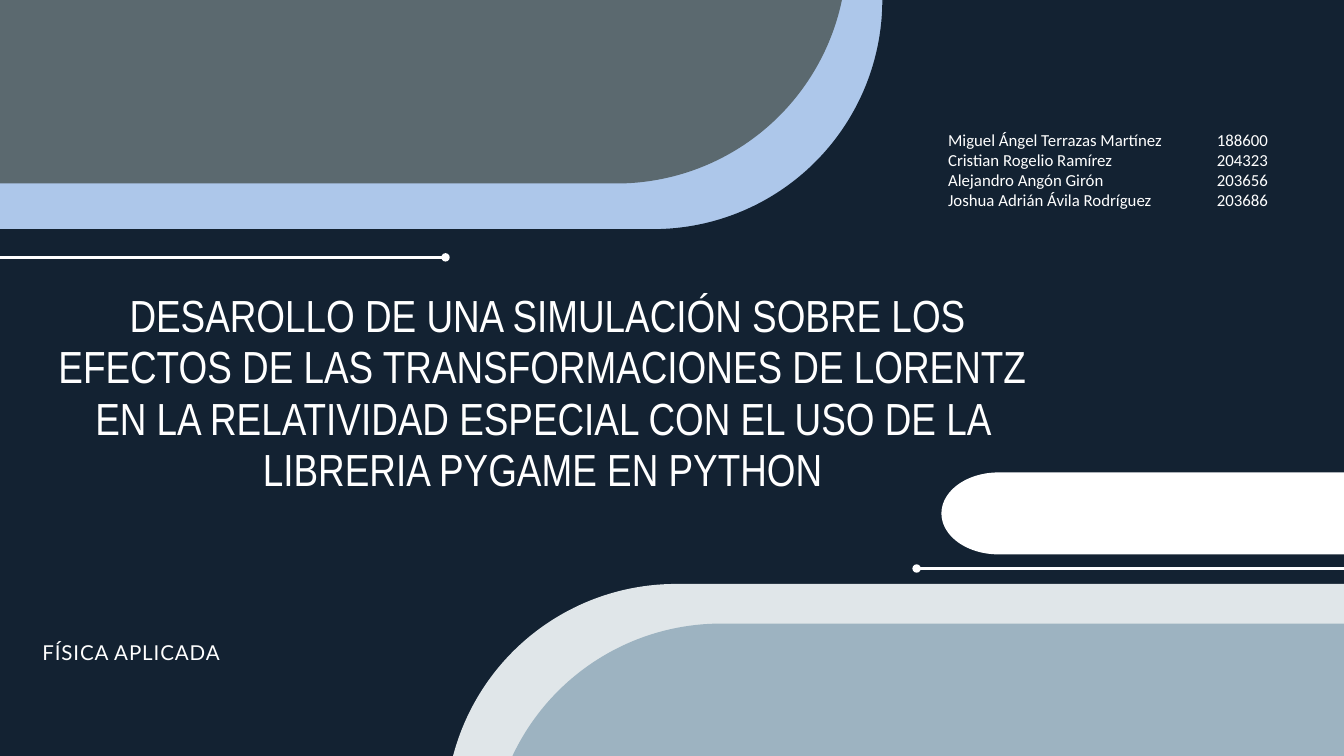
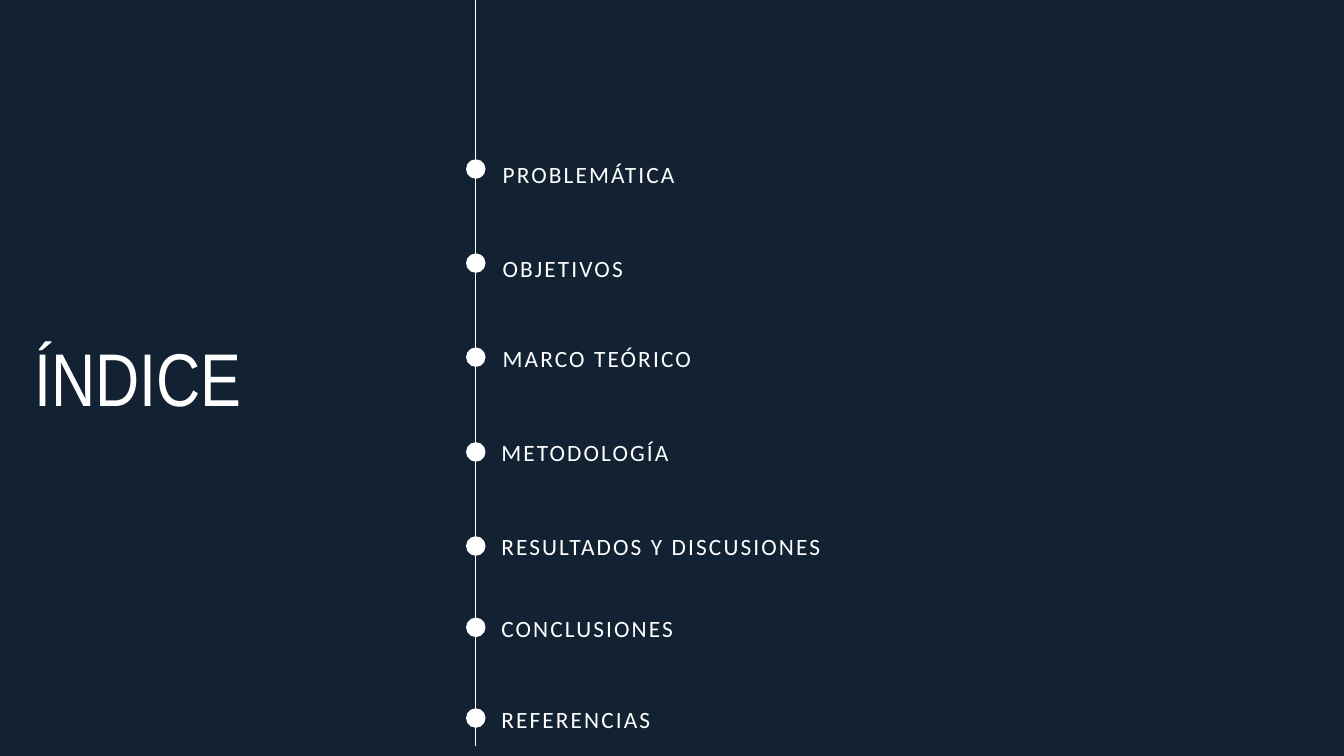
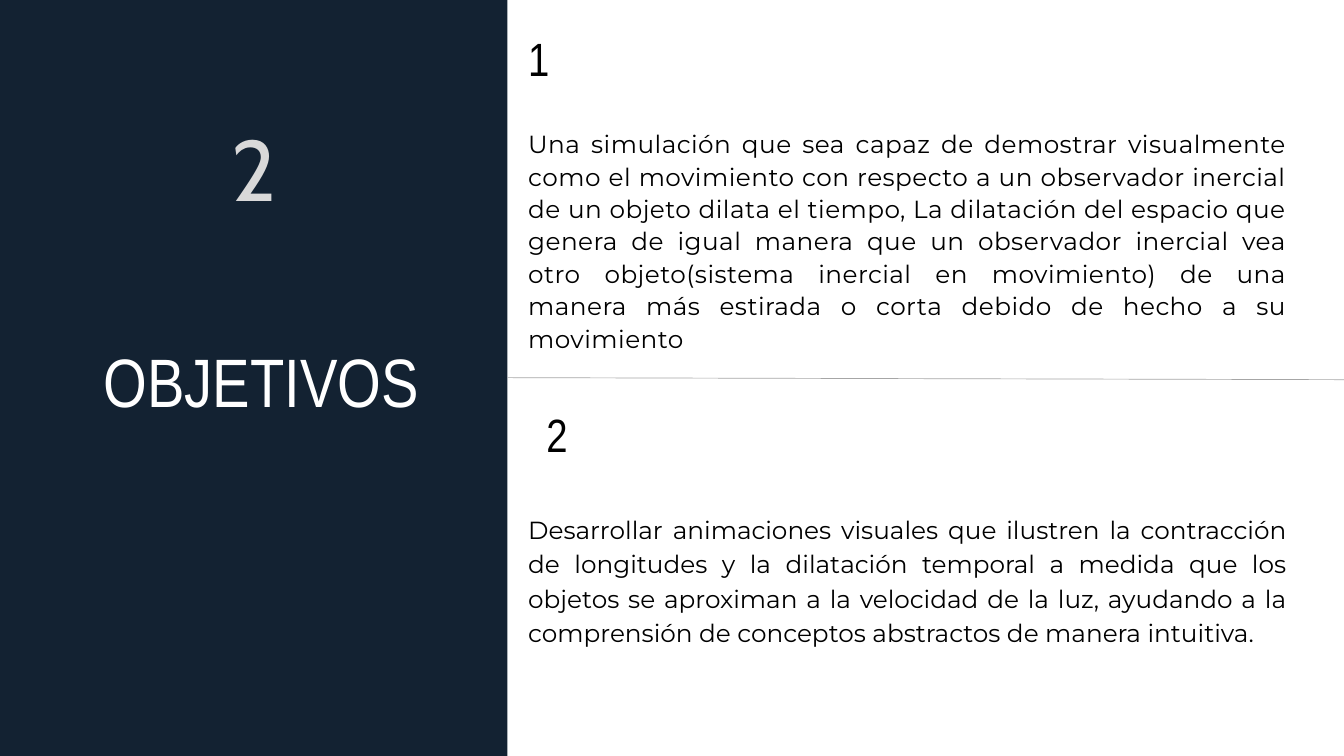
"""Builds a title, an index and a goals slide on special relativity."""
import dataclasses
import math

import pptx
import pptx.dml.color
import pptx.enum.shapes
import pptx.enum.text
import pptx.oxml.ns
import pptx.shapes.autoshape
import pptx.slide
import pptx.util
from lxml import etree

Inches = pptx.util.Inches
Shape = pptx.enum.shapes.MSO_SHAPE
Align = pptx.enum.text.PP_ALIGN

NAVY, WHITE, BLACK = "132232", "FFFFFF", "000000"
BLUE, PALE, STEEL, SLATE = "ADC7EA", "E0E6E9", "9DB3C1", "5B696F"
GREY, SILVER = "A6A6A6", "D9D9D9"
HEAD, LABEL, BODY = "Arial Narrow", "Calibri", "Montserrat"
WIDE, HIGH = 20, 11.25
RAIL = 7.08
DOT = 0.29


@dataclasses.dataclass(frozen=True)
class Style:
    """Look of one text."""
    font: str
    size: float
    tint: str = WHITE
    lead: float | None = None
    track: float = 0
    align: Align | None = None


@dataclasses.dataclass(frozen=True)
class Box:
    """Place of an item in inches."""
    left: float
    top: float
    width: float
    height: float


@dataclasses.dataclass(frozen=True)
class Band:
    """Bar with one round end, turned to face right or left."""
    box: Box
    turn: int
    fill: str
    edge: str


@dataclasses.dataclass(frozen=True)
class Entry:
    """One line of the index with its dot."""
    text: str
    left: float
    top: float
    dot: float


@dataclasses.dataclass(frozen=True)
class Note:
    """Text with its place and look."""
    text: str
    box: Box
    style: Style


BANDS = (
    Band(Box(2.92, -6.8, 6.84, 13.6), 90, BLUE, NAVY),
    Band(Box(10.02, 5.32, 6.84, 13.6), 270, PALE, PALE),
    Band(Box(10.69, 5.91, 6.84, 13.6), 270, STEEL, STEEL),
    Band(Box(2.37, -7.5, 6.84, 13.6), 90, SLATE, SLATE),
)

TEAM = (
    ("Miguel Ángel Terrazas Martínez", "188600"),
    ("Cristian Rogelio Ramírez", "204323"),
    ("Alejandro Angón Girón", "203656"),
    ("Joshua Adrián Ávila Rodríguez", "203686"),
)

INDEX = (
    Entry("PROBLEMÁTICA", 7.48, 2.29, 2.37),
    Entry("OBJETIVOS", 7.48, 3.7, 3.77),
    Entry("MARCO TEÓRICO", 7.48, 5.04, 5.17),
    Entry("METODOLOGÍA", 7.46, 6.44, 6.58),
    Entry("RESULTADOS Y DISCUSIONES", 7.46, 7.84, 7.98),
    Entry("CONCLUSIONES", 7.46, 9.06, 9.19),
    Entry("REFERENCIAS", 7.46, 10.4, 10.54),
)

ITEM = Style(LABEL, 25, lead=36.2, track=2.3)
COUNT = Style(HEAD, 50, BLACK, 57.5)

GOALS = (
    Note(" OBJETIVOS", Box(0.57, 5.09, 6.41, 1.18),
         Style(HEAD, 73.4, lead=84.4, align=Align.CENTER)),
    Note("1", Box(7.86, 0.48, 11.29, 0.81), COUNT),
    Note("Una simulación que sea capaz de demostrar visualmente como el "
         "movimiento con respecto a un observador inercial de un objeto "
         "dilata el tiempo, La dilatación del espacio que genera de igual "
         "manera que un observador inercial vea otro objeto(sistema inercial "
         "en movimiento) de una manera más estirada o corta debido de hecho "
         "a su movimiento",
         Box(7.86, 1.88, 11.29, 3.34),
         Style(BODY, 26.5, BLACK, 34.7, 0.5, Align.JUSTIFY)),
    Note("2", Box(8.13, 6.08, 5.06, 0.81), COUNT),
    Note("Desarrollar animaciones visuales que ilustren la contracción de "
         "longitudes y la dilatación temporal a medida que los objetos se "
         "aproximan a la velocidad de la luz, ayudando a la comprensión de "
         "conceptos abstractos de manera intuitiva.",
         Box(7.86, 7.58, 11.29, 2.03),
         Style(BODY, 26.5, BLACK, 37.1, align=Align.JUSTIFY)),
    Note("2", Box(3.42, 1.46, 0.71, 1.71),
         Style("Cabin", 92, SILVER, 128.8, align=Align.CENTER)),
)


def shade(code: str) -> pptx.dml.color.RGBColor:
    """Turn a hex string into a colour."""
    return pptx.dml.color.RGBColor.from_string(code)


def child(node: etree._Element, tag: str, **attrs: str) -> etree._Element:
    """Append a drawing element to a node."""
    return etree.SubElement(node, pptx.oxml.ns.qn(tag), **attrs)


def paint(shape: pptx.shapes.autoshape.Shape, fill: str,
          edge: str | None = None) -> None:
    """Give a shape a flat fill and an optional edge."""
    shape.shadow.inherit = False
    shape.fill.solid()
    shape.fill.fore_color.rgb = shade(fill)
    if edge:
        shape.line.color.rgb = shade(edge)
        shape.line.width = pptx.util.Pt(1.5)
    else:
        shape.line.fill.background()


def place(slide: pptx.slide.Slide, kind: Shape,
          box: Box) -> pptx.shapes.autoshape.Shape:
    """Add a preset shape."""
    return slide.shapes.add_shape(kind, *map(Inches, dataclasses.astuple(box)))


def write(slide: pptx.slide.Slide, lines: list[str], box: Box, style: Style,
          inset: bool = False, stop: float | None = None) -> None:
    """Add a text box with one paragraph per line."""
    frame = slide.shapes.add_textbox(
        *map(Inches, dataclasses.astuple(box))).text_frame
    frame.word_wrap = True
    frame.auto_size = pptx.enum.text.MSO_AUTO_SIZE.SHAPE_TO_FIT_TEXT
    if not inset:
        frame.margin_left = frame.margin_right = 0
        frame.margin_top = frame.margin_bottom = 0
    for rank, line in enumerate(lines):
        para = frame.add_paragraph() if rank else frame.paragraphs[0]
        para.alignment = style.align
        if style.lead:
            para.line_spacing = pptx.util.Pt(style.lead)
        if stop:
            tabs = child(para._p.get_or_add_pPr(), "a:tabLst")
            child(tabs, "a:tab", pos=str(Inches(stop)), algn="l")
        run = para.add_run()
        run.text = line
        run.font.name = style.font
        run.font.size = pptx.util.Pt(style.size)
        run.font.color.rgb = shade(style.tint)
        if style.track:
            run._r.get_or_add_rPr().set("spc", str(round(style.track * 100)))


def rule(slide: pptx.slide.Slide, start: tuple[float, float],
         end: tuple[float, float], tint: str = WHITE, width: float = 0.75,
         knob: str | None = None) -> None:
    """Add a straight line, with a round knob if an end is named."""
    line = slide.shapes.add_connector(
        pptx.enum.shapes.MSO_CONNECTOR.STRAIGHT, *map(Inches, start + end))
    line.line.color.rgb = shade(tint)
    line.line.width = pptx.util.Pt(width)
    if knob:
        child(line.line._get_or_add_ln(), knob, type="oval")
    child(line._element.spPr, "a:effectLst")


def pill(slide: pptx.slide.Slide, box: Box, bend: float, fill: str) -> None:
    """Add a bar whose ends are half ellipses of the given depth."""
    half = box.height / 2
    steps = 60
    points = []
    for step in range(2 * steps + 2):
        right = step <= steps
        angle = math.pi * ((step if right else step - 1) / steps - 0.5)
        hub = box.left + (box.width - bend if right else bend)
        points.append((Inches(hub + bend * math.cos(angle)),
                       Inches(box.top + half + half * math.sin(angle))))
    maker = slide.shapes.build_freeform(*points[0])
    maker.add_line_segments(points[1:], close=True)
    paint(maker.convert_to_shape(), fill)


def start(deck: pptx.presentation.Presentation,
          back: str) -> pptx.slide.Slide:
    """Add a blank slide with a plain background."""
    slide = deck.slides.add_slide(deck.slide_layouts[6])
    slide.background.fill.solid()
    slide.background.fill.fore_color.rgb = shade(back)
    return slide


def cover(deck: pptx.presentation.Presentation) -> None:
    """Build the title slide."""
    slide = start(deck, NAVY)
    for band in BANDS:
        shape = place(slide, Shape.ROUND_2_SAME_RECTANGLE, band.box)
        shape.rotation = band.turn
        shape.adjustments[0] = 0.5
        shape.adjustments[1] = 0.03
        paint(shape, band.fill, band.edge)
    pill(slide, Box(14.01, 7.03, 13.81, 1.22), 0.85, WHITE)
    write(slide, [" DESAROLLO DE UNA SIMULACIÓN SOBRE LOS EFECTOS DE LAS "
                  "TRANSFORMACIONES DE LORENTZ EN LA RELATIVIDAD ESPECIAL "
                  "CON EL USO DE LA LIBRERIA PYGAME EN PYTHON"],
          Box(0.63, 4.32, 14.9, 3.04),
          Style(HEAD, 48.2, lead=55, align=Align.CENTER))
    write(slide, ["FÍSICA APLICADA"], Box(0.63, 9.53, 2.94, 0.4),
          Style("Lato", 22, lead=25.9, track=1))
    rule(slide, (-0.47, 3.83), (6.63, 3.83), width=3, knob="a:tailEnd")
    rule(slide, (13.64, 8.46), (20.74, 8.46), width=3, knob="a:headEnd")
    write(slide, ["\t".join(pair) for pair in TEAM],
          Box(14.01, 1.88, 5.32, 1.62), Style(LABEL, 18), True, 4)


def index(deck: pptx.presentation.Presentation) -> None:
    """Build the index slide."""
    slide = start(deck, NAVY)
    rule(slide, (RAIL, 9.75), (RAIL, 0))
    rule(slide, (RAIL, 11.1), (RAIL, 1.34))
    write(slide, ["ÍNDICE"], Box(0.51, 5, 5.69, 1.28),
          Style(HEAD, 80, lead=92))
    for entry in INDEX:
        dot = Box(RAIL - DOT / 2, entry.dot, DOT, DOT)
        paint(place(slide, Shape.OVAL, dot), WHITE)
        write(slide, [entry.text], Box(entry.left, entry.top, 8.67, 0.49),
              ITEM)


def goals(deck: pptx.presentation.Presentation) -> None:
    """Build the goals slide."""
    slide = start(deck, WHITE)
    paint(place(slide, Shape.RECTANGLE, Box(0, 0, 7.55, HIGH)), NAVY)
    rule(slide, (7.55, 5.62), (WIDE, 5.65), GREY)
    for note in GOALS:
        write(slide, [note.text], note.box, note.style)


def main() -> None:
    """Build and save the deck."""
    deck = pptx.Presentation()
    deck.slide_width = Inches(WIDE)
    deck.slide_height = Inches(HIGH)
    cover(deck)
    index(deck)
    goals(deck)
    deck.save("out.pptx")


if __name__ == "__main__":
    main()
